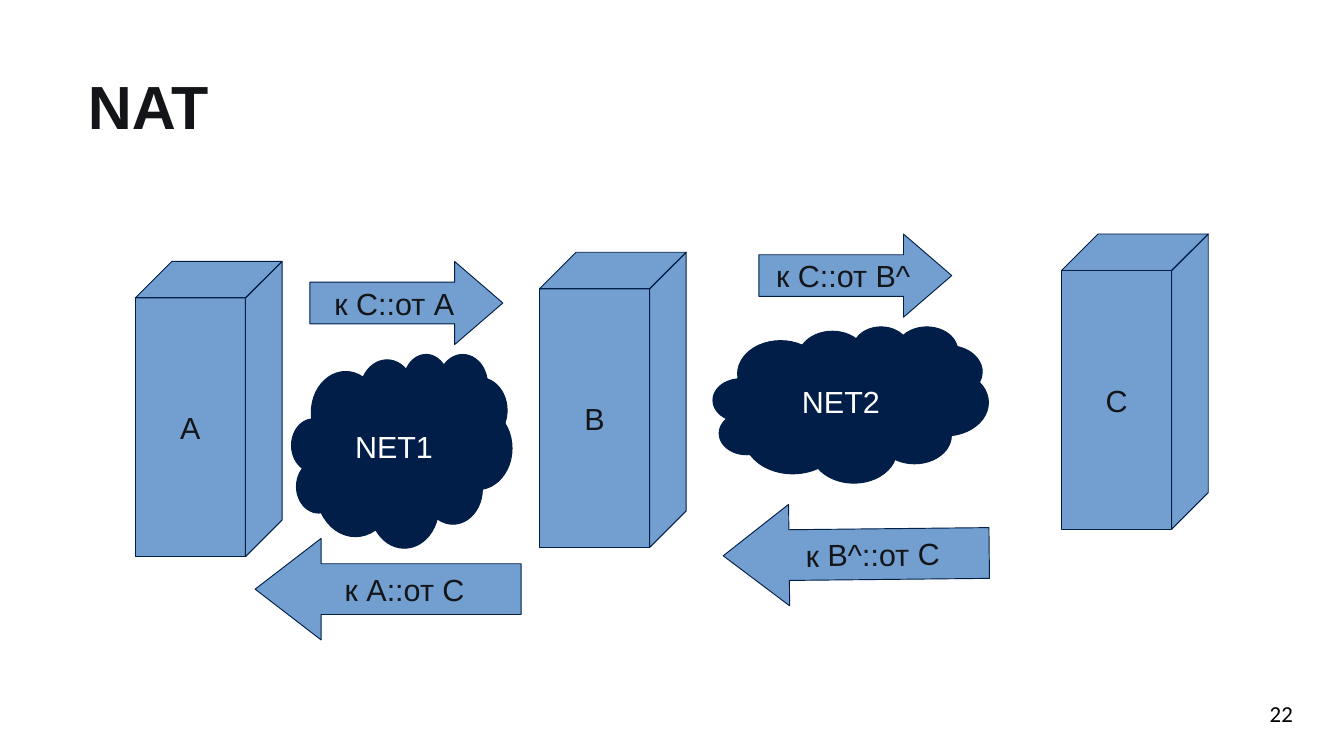
from dataclasses import dataclass

from pptx import Presentation
from pptx import util as u
from pptx.dml.color import RGBColor
from pptx.enum import shapes, text

SHAPE = shapes.MSO_SHAPE
ANCHOR = text.MSO_ANCHOR
ALIGN = text.PP_ALIGN


@dataclass(frozen=True)
class Theme:
    node: str = "729FCF"
    net: str = "001E47"
    ink: str = "131519"
    light: str = "FFFFFF"
    number: str = "000000"
    font: str = "Arial"
    number_font: str = "Calibri"
    title_size: int = 48
    label_size: int = 24
    number_size: int = 18


class Diagram:
    """Draws on one slide; lengths are cells of a 147-column grid."""

    CELL = u.Inches(0.1)
    HOST_W, HOST_H, DEPTH = 16.05, 32.3, 4
    PAD_X, PAD_Y = 1.3, 0.7

    def __init__(self, prs, theme):
        self.theme = theme
        self.s = prs.slides.add_slide(prs.slide_layouts[6])

    def cells(self, *values):
        return [u.Emu(round(v * self.CELL)) for v in values]

    def label(self, sp, words, color, size, font=None, align=ALIGN.CENTER,
              bold=False, spacing=None, **frame):
        tf = sp.text_frame
        for name, value in frame.items():
            setattr(tf, name, value)
        p = tf.paragraphs[0]
        p.alignment, p.line_spacing = align, spacing
        r = p.add_run()
        r.text = words
        look = {"name": font or self.theme.font, "size": u.Pt(size), "bold": bold}
        for name, value in look.items():
            setattr(r.font, name, value)
        r.font.color.rgb = RGBColor.from_string(color)

    def finish(self, sp, words, fill, ink, extra_right=0, extra_top=0):
        """Applies the common fill, hairline and centred label."""
        sp.shadow.inherit = False
        sp.fill.solid()
        sp.fill.fore_color.rgb = RGBColor.from_string(fill)
        sp.line.color.rgb = RGBColor.from_string(self.theme.net)
        sp.line.width = u.Pt(0)
        left, top, right, bottom = self.cells(
            self.PAD_X, self.PAD_Y + extra_top, self.PAD_X + extra_right, self.PAD_Y)
        self.label(sp, words, ink, self.theme.label_size, word_wrap=False,
                   vertical_anchor=ANCHOR.MIDDLE, margin_left=left,
                   margin_top=top, margin_right=right, margin_bottom=bottom)

    def host(self, words, x, y):
        """Draws a box with front, top and side faces in one flat colour."""
        d = self.DEPTH
        right, bottom = x + self.HOST_W, y + self.HOST_H
        edge, lid = right - d, y + d
        faces = [
            [(x, lid), (edge, lid), (edge, bottom), (x, bottom)],
            [(x, lid), (x + d, y), (right, y), (edge, lid)],
            [(edge, lid), (right, y), (right, bottom - d), (edge, bottom)],
        ]
        outline = self.s.shapes.build_freeform(*self.cells(*faces[0][0]))
        for i, face in enumerate(faces):
            start, *rest = [self.cells(*point) for point in face]
            if i:
                outline.move_to(*start)
            outline.add_line_segments(rest, close=True)
        self.finish(outline.convert_to_shape(), words, self.theme.node,
                    self.theme.ink, extra_right=d, extra_top=d)

    def cloud(self, words, x, y, w, h):
        sp = self.s.shapes.add_shape(SHAPE.CLOUD, *self.cells(x, y, w, h))
        self.finish(sp, words, self.theme.net, self.theme.light)

    def arrow(self, words, kind, x, y, w, h, head, angle=0):
        """Draws a block arrow; head is its length as a share of h."""
        sp = self.s.shapes.add_shape(kind, *self.cells(x, y, w, h))
        sp.adjustments[0], sp.adjustments[1] = 0.5, head
        sp.rotation = angle
        self.finish(sp, words, self.theme.node, self.theme.ink)

    def request(self, words, x, y):
        self.arrow(words, SHAPE.RIGHT_ARROW, x, y, 21.1, 9.1, 0.58)

    def reply(self, words, x, y, angle=0):
        self.arrow(words, SHAPE.LEFT_ARROW, x, y, 29.1, 11.1, 0.65, angle)

    def title(self, words):
        sp = self.s.shapes.add_textbox(*self.cells(8.9, 7.4, 132.3, 18.4))
        left, top = self.cells(0.7, 1)
        self.label(sp, words, self.theme.ink, self.theme.title_size,
                   align=ALIGN.LEFT, bold=True, spacing=0.9, word_wrap=True,
                   vertical_anchor=ANCHOR.TOP, margin_left=left, margin_top=top)

    def page_number(self, words):
        sp = self.s.shapes.add_textbox(*self.cells(129.8, 75.8, 12.6, 4.4))
        self.label(sp, words, self.theme.number, self.theme.number_size,
                   font=self.theme.number_font, align=ALIGN.RIGHT,
                   word_wrap=True, vertical_anchor=ANCHOR.MIDDLE)


def main():
    prs = Presentation()
    prs.slide_width, prs.slide_height = u.Inches(14.7), u.Inches(8.27)
    nat = Diagram(prs, Theme())

    for name, x, y in [("A", 14.8, 28.6), ("B", 59, 27.6), ("C", 116.1, 25.6)]:
        nat.host(name, x, y)
    nat.cloud("NET1", 31.9, 38.7, 24.1, 21.2)
    nat.cloud("NET2", 78, 35.7, 30.1, 17.1)
    nat.request("к C::от A", 33.9, 28.6)
    nat.request("к C::от B^", 83, 25.6)
    nat.reply("к B^::от C", 79.1, 55.1, angle=359.4)
    nat.reply("к A::от C", 27.9, 58.9)
    nat.title("NAT")
    nat.page_number("22")
    prs.save("out.pptx")


if __name__ == "__main__":
    main()
